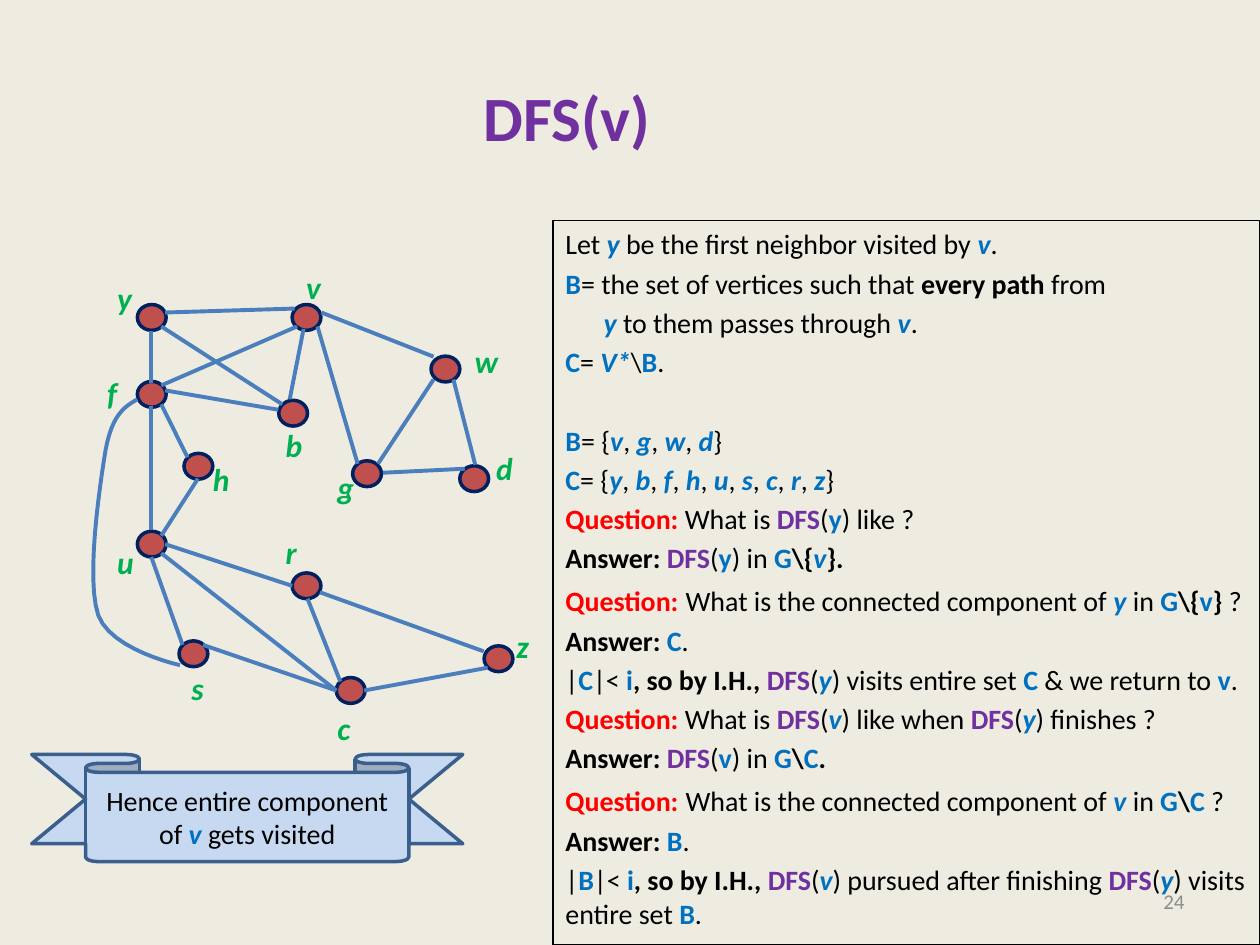
from pptx import Presentation
from pptx.dml.color import RGBColor
from pptx.enum.shapes import MSO_CONNECTOR, MSO_SHAPE
from pptx.enum.text import MSO_ANCHOR, PP_ALIGN
from pptx.oxml.ns import qn
from pptx.util import Cm, Pt
from lxml.etree import SubElement

CREAM = RGBColor(0xEE, 0xEC, 0xE1)
PURPLE = RGBColor(0x70, 0x30, 0xA0)
BLUE = RGBColor(0x00, 0x70, 0xC0)
RED = RGBColor(0xFF, 0x00, 0x00)
BLACK = RGBColor(0x00, 0x00, 0x00)
GREEN = RGBColor(0x00, 0xB0, 0x50)
GREY = RGBColor(0x8C, 0x8C, 0x8C)
BRICK = RGBColor(0xC0, 0x50, 0x4D)
NAVY = RGBColor(0x00, 0x20, 0x60)
STEEL = RGBColor(0x4B, 0x7E, 0xBC)
PALE = RGBColor(0xC6, 0xD9, 0xF1)
SLATE = RGBColor(0x3A, 0x5F, 0x8C)

# Marks in text: [mark + words], mark -> colour, italic, size
MARKS = {
    "i": (BLUE, True, None),
    "b": (BLUE, False, None),
    "d": (PURPLE, False, None),
    "q": (RED, False, None),
    "k": (BLACK, False, None),
    "w": (RED, False, 18),
}

# Proof: text, space before (pt), indent (cm)
PROOF = [
    ("Let [iy] be the first neighbor visited by [iv].", 0, 0),
    ("[bB]= the set of vertices such that [kevery path ]from", 3.2, 0),
    ("[iy] to them passes through [iv].", 3.2, 0.77),
    ("[bC]= [iV*]\\[bB].", 3.2, 0),
    ("[bB]= {[iv], [ig], [iw], [id]}", 25.8, 0),
    ("[bC]= {[iy], [ib], [if], [ih], [iu], [is], [ic], [ir], [iz]}", 3.2, 0),
    ("[qQuestion:] What is [dDFS]([by]) like ?", 3.2, 0),
    ("[kAnswer: ][dDFS]([by]) in [bG][k\\{][iv][k}.]", 3.2, 0),
    ("[qQuestion:][w ]What is the connected component of [iy] in "
     "[bG][k\\{][bv][k}] ?", 3.2, 0),
    ("[kAnswer: ][bC].", 3.2, 0),
    ("|[bC]|< [bi][k, so by I.H., ][dDFS]([iy]) visits entire set [bC]"
     " & we return to [bv].", 3.2, 0),
    ("[qQuestion: ]What is [dDFS]([iv]) like when [dDFS]([iy]) finishes ?",
     3.2, 0),
    ("[kAnswer: ][dDFS]([bv]) in [bG][k\\][bC][k.]", 3.2, 0),
    ("[qQuestion:][w ]What is the connected component of [iv ]in "
     "[bG][k\\][bC ]?", 3.2, 0),
    ("[kAnswer: ][bB].", 3.2, 0),
    ("|[bB]|< [bi][k, so by I.H., ][dDFS]([iv]) pursued after finishing "
     "[dDFS]([iy]) visits entire set [bB].", 3.2, 0),
]
CLAIM = "Hence entire component of [iv] gets visited"

# Nodes: centre x, y, then label left, top, width (cm)
NODES = {
    "y": (3.06, 6.4, 2.11, 5.51, 0.81),
    "v": (6.18, 6.4, 5.92, 5.28, 0.81),
    "f": (3.06, 7.95, 1.91, 7.42, 0.71),
    "b": (5.91, 8.33, 5.51, 8.46, 0.86),
    "h": (4, 9.4, 4.04, 9.14, 0.86),
    "u": (3.06, 10.97, 2.11, 10.82, 0.86),
    "r": (6.18, 11.81, 5.51, 10.62, 0.74),
    "s": (3.9, 13.18, 3.61, 13.36, 0.76),
    "z": (10.05, 13.28, 10.16, 12.52, 0.76),
    "c": (7.07, 13.92, 6.55, 14.17, 0.79),
    "w": (8.98, 7.44, 9.32, 6.78, 0.99),
    "g": (7.4, 9.55, 6.55, 9.32, 0.86),
    "d": (9.56, 9.65, 9.75, 8.92, 0.86),
}
NODE_W, NODE_H = 0.58, 0.52

# Edges: start x, y, end x, y (cm)
EDGES = {
    "dw": (9.58, 9.37, 9.14, 7.65),
    "gd": (7.72, 9.53, 9.37, 9.45),
    "gw": (7.62, 9.35, 8.74, 7.65),
    "vw": (6.48, 6.3, 8.74, 7.19),
    "vg": (6.4, 6.58, 7.21, 9.35),
    "vb": (6.12, 6.63, 5.84, 8.05),
    "ur": (3.33, 10.97, 5.89, 11.81),
    "su": (3.68, 13, 3.05, 11.23),
    "cz": (7.34, 13.92, 9.83, 13.46),
    "rc": (6.2, 12.07, 6.86, 13.74),
    "uc": (3.25, 11.15, 6.78, 13.92),
    "zr": (9.75, 13.13, 6.45, 11.94),
    "sc": (4.09, 13, 6.78, 13.92),
    "fb": (3.33, 7.87, 5.61, 8.26),
    "yf": (3.05, 6.68, 3.05, 7.72),
    "fu": (3.05, 8.18, 3.05, 10.69),
    "fh": (3.25, 8.15, 3.78, 9.22),
    "yv": (3.33, 6.3, 5.94, 6.22),
    "yb": (3.25, 6.58, 5.69, 8.15),
    "vf": (5.99, 6.58, 3.25, 7.77),
    "hu": (3.99, 9.65, 3.25, 10.8),
}
# Bent edge f to s: cubic curves that share their end points
BEND = [(2.77, 8.05), (2.51, 8.2), (2.26, 8.36), (2.13, 9.07), (2.01, 9.8),
        (1.73, 11.66), (1.98, 12.4), (2.24, 13.11), (3.63, 13.41),
        (3.63, 13.41)]
STEPS = 12


def set_font(para, size, color, bold=False, slant=False):
    font = para.font
    font.name, font.size, font.bold, font.italic = "Calibri", Pt(size), bold, slant
    font.color.rgb = color


def add_runs(para, text):
    set_font(para, 16, BLACK)
    for i, part in enumerate(text.replace("]", "[").split("[")):
        if not part:
            continue
        run = para.add_run()
        run.text = part[1:] if i % 2 else part
        if i % 2:
            color, slant, size = MARKS[part[0]]
            run.font.bold, run.font.color.rgb = True, color
            if slant:
                run.font.italic = True
            if size:
                run.font.size = Pt(size)


def add_box(left, top, width, height, wrap=True):
    box = slide.shapes.add_textbox(Cm(left), Cm(top), Cm(width), Cm(height))
    box.text_frame.word_wrap = wrap
    return box


def add_form(kind, left, top, width, height, fill, edge):
    form = slide.shapes.add_shape(kind, Cm(left), Cm(top), Cm(width), Cm(height))
    form.shadow.inherit = False
    form.fill.solid()
    form.fill.fore_color.rgb = fill
    set_line(form, edge, 2)
    return form


def set_line(form, color, width):
    form.line.color.rgb, form.line.width = color, Pt(width)


def curve(a, b, c, d):
    for n in range(1, STEPS + 1):
        t = n / STEPS
        s = 1 - t
        yield tuple(Cm(s**3 * p + 3 * s * s * t * q + 3 * s * t * t * r + t**3 * e)
                    for p, q, r, e in zip(a, b, c, d))


deck = Presentation()
deck.slide_width, deck.slide_height = Cm(25.4), Cm(19.05)
slide = deck.slides.add_slide(deck.slide_layouts[5])
slide.background.fill.solid()
slide.background.fill.fore_color.rgb = CREAM

# Title
title = slide.shapes.title
title.left, title.top, title.width, title.height = Cm(0), Cm(0.76), Cm(22.86), Cm(3.18)
title.text_frame.text = "DFS(v)"
title.text_frame.vertical_anchor = MSO_ANCHOR.MIDDLE
head = title.text_frame.paragraphs[0]
head.alignment = PP_ALIGN.CENTER
set_font(head, 36, PURPLE, True)

# Slide number
page = add_box(18.21, 17.65, 5.92, 1.02).text_frame
page.text, page.vertical_anchor = "24", MSO_ANCHOR.MIDDLE
page.paragraphs[0].alignment = PP_ALIGN.RIGHT
set_font(page.paragraphs[0], 12, GREY)

# Graph nodes and labels
for name, (x, y, left, top, width) in NODES.items():
    add_form(MSO_SHAPE.OVAL, x - NODE_W / 2, y - NODE_H / 2, NODE_W, NODE_H, BRICK, NAVY)
    label = add_box(left, top, width, 1.02, False).text_frame
    label.text = name
    set_font(label.paragraphs[0], 18, GREEN, True, True)

# Graph edges
for ends in EDGES.values():
    edge = slide.shapes.add_connector(MSO_CONNECTOR.STRAIGHT, *map(Cm, ends))
    set_line(edge, STEEL, 2.25)
    SubElement(edge.element.spPr, qn("a:effectLst"))
pen = slide.shapes.build_freeform(*map(Cm, BEND[0]))
for i in range(0, len(BEND) - 1, 3):
    pen.add_line_segments(list(curve(*BEND[i:i + 4])), close=False)
bend = pen.convert_to_shape()
bend.shadow.inherit = False
bend.fill.background()
set_line(bend, STEEL, 2.25)

# Proof panel
panel = add_box(11.15, 4.45, 14.25, 14.6)
set_line(panel, BLACK, 0.75)
for i, (text, gap, indent) in enumerate(PROOF):
    frame = panel.text_frame
    para = frame.add_paragraph() if i else frame.paragraphs[0]
    para.space_before = Pt(gap)
    if indent:
        para._p.get_or_add_pPr().set("marL", str(Cm(indent)))
    add_runs(para, text)

# Ribbon with the claim
ribbon = add_form(MSO_SHAPE.DOWN_RIBBON, 0.64, 15.21, 8.69, 2.16, PALE, SLATE)
ribbon.adjustments[0], ribbon.adjustments[1] = 0.167, 0.75
ribbon.text_frame.vertical_anchor = MSO_ANCHOR.MIDDLE
claim = ribbon.text_frame.paragraphs[0]
claim.alignment = PP_ALIGN.CENTER
add_runs(claim, CLAIM)

deck.save("out.pptx")
